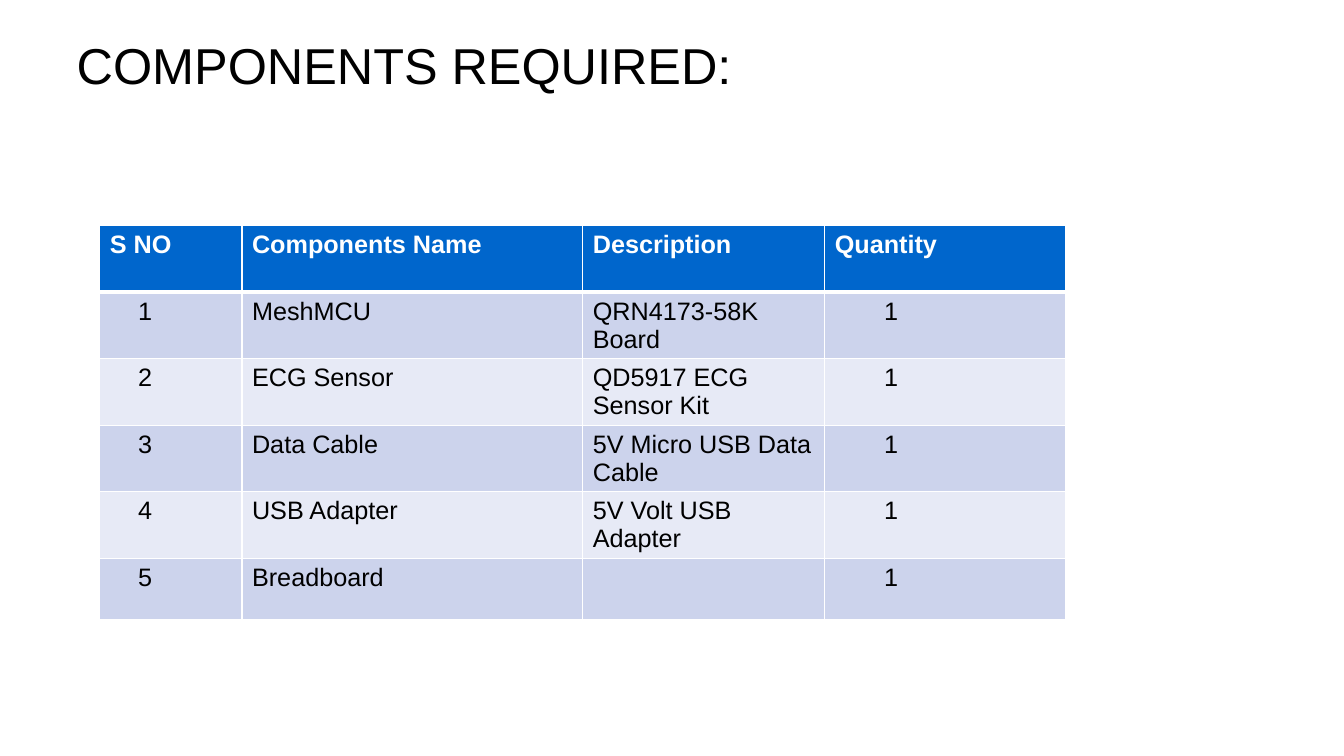
from dataclasses import dataclass

from lxml.etree import SubElement
from pptx import Presentation
from pptx.dml.color import RGBColor
from pptx.enum.text import MSO_ANCHOR as Anchor
from pptx.oxml.ns import qn
from pptx.util import Emu, Pt

PX = 9144
FONT = "Arial"
BLACK = RGBColor(0x00, 0x00, 0x00)
WHITE = RGBColor(0xFF, 0xFF, 0xFF)
BLUE = RGBColor(0x00, 0x66, 0xCC)
BANDS = (RGBColor(0xCC, 0xD3, 0xEC), RGBColor(0xE7, 0xEA, 0xF6))
ROW_HEIGHTS = (66, 66, 66, 66, 66, 61)


@dataclass(frozen=True)
class Column:
    heading: str
    width: int
    body_inset: int = 10


@dataclass(frozen=True)
class Component:
    name: str
    description: str
    quantity: int = 1


COLUMNS = (
    Column("S NO", 141, 38),
    Column("Components Name", 338),
    Column("Description", 240),
    Column("Quantity", 239, 59),
)
COMPONENTS = (
    Component("MeshMCU", "QRN4173-58K Board"),
    Component("ECG Sensor", "QD5917 ECG Sensor Kit"),
    Component("Data Cable", "5V Micro USB Data Cable"),
    Component("USB Adapter", "5V Volt USB Adapter"),
    Component("Breadboard", ""),
)


def px(length: int) -> Emu:
    return Emu(length * PX)


def style_text(frame, size: int, color: RGBColor, bold: bool = False) -> None:
    for para in frame.paragraphs:
        for span in para.runs:
            span.font.name = FONT
            span.font.size = Pt(size)
            span.font.bold = bold
            span.font.color.rgb = color


def add_borders(cell, bottom: int, top: int) -> None:
    properties = cell._tc.get_or_add_tcPr()
    for side, width in (("L", 1), ("R", 1), ("T", top), ("B", bottom)):
        line = SubElement(properties, qn(f"a:ln{side}"), w=str(Pt(width)))
        fill = SubElement(line, qn("a:solidFill"))
        SubElement(fill, qn("a:srgbClr"), val=str(WHITE))


def add_title(page) -> None:
    box = page.shapes.add_textbox(px(67), px(32), px(1200), px(64))
    frame = box.text_frame
    frame.word_wrap = True
    frame.vertical_anchor = Anchor.MIDDLE
    frame.margin_left = px(9)
    frame.text = "COMPONENTS REQUIRED:"
    style_text(frame, 36, BLACK)


def fill_cell(cell, text: str, row: int, column: Column) -> None:
    header = row == 0
    add_borders(cell, bottom=3 if header else 1, top=3 if row == 1 else 1)
    cell.fill.solid()
    cell.fill.fore_color.rgb = BLUE if header else BANDS[(row - 1) % 2]
    cell.margin_left = px(10 if header else column.body_inset)
    cell.margin_bottom = px(0)
    cell.text_frame.text = text
    style_text(cell.text_frame, 18, WHITE if header else BLACK, header)


def add_component_table(page) -> None:
    rows = [[column.heading for column in COLUMNS]]
    for number, part in enumerate(COMPONENTS, 1):
        rows.append([str(number), part.name, part.description, str(part.quantity)])
    width = sum(column.width for column in COLUMNS)
    table = page.shapes.add_table(
        len(rows), len(COLUMNS), px(99), px(224), px(width), px(sum(ROW_HEIGHTS))
    ).table
    table.horz_banding = False
    for index, column in enumerate(COLUMNS):
        table.columns[index].width = px(column.width)
    for row, texts in enumerate(rows):
        table.rows[row].height = px(ROW_HEIGHTS[row])
        for index, text in enumerate(texts):
            fill_cell(table.cell(row, index), text, row, COLUMNS[index])


def main() -> None:
    deck = Presentation()
    deck.slide_width = px(1333)
    deck.slide_height = px(750)
    page = deck.slides.add_slide(deck.slide_layouts[6])
    add_title(page)
    add_component_table(page)
    deck.save("out.pptx")


if __name__ == "__main__":
    main()
